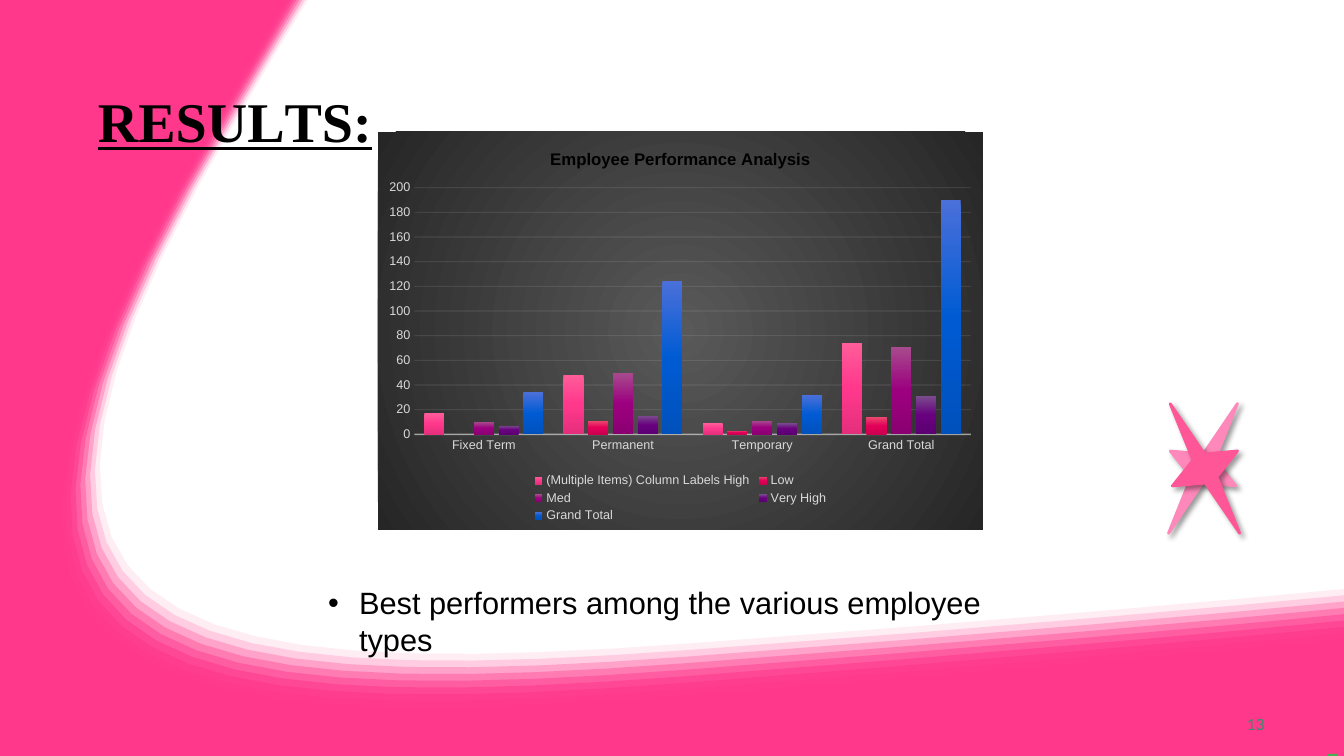
import lxml.etree
import pptx
import pptx.chart.data
import pptx.dml.color
import pptx.enum.chart
import pptx.enum.shapes
import pptx.enum.text
import pptx.oxml.ns
import pptx.util

RGBColor = pptx.dml.color.RGBColor
qn = pptx.oxml.ns.qn

WIDTH, HEIGHT = 1344, 756
SCALE = 12192000 / WIDTH

BLACK = RGBColor(0x00, 0x00, 0x00)
PINK = RGBColor(0xFF, 0x38, 0x8C)
LIGHT_PINK = RGBColor(0xFF, 0x88, 0xBA)
STAR_PINK = RGBColor(0xFF, 0x56, 0x98)
GREEN = RGBColor(0x42, 0xAF, 0x51)
TEAL = RGBColor(0x2D, 0x93, 0x6B)
AXIS_GREY = RGBColor(0xD9, 0xD9, 0xD9)
LINE_GREY = RGBColor(0xF2, 0xF2, 0xF2)
CHART_GREYS = [RGBColor(0x59, 0x59, 0x59), RGBColor(0x26, 0x26, 0x26)]

BAND_COUNT = 11
CURVE_STEPS = [5, 20, 4]
WAVE_EDGE = [(1344, 661), (1344, 661), (1084, 687), (660, 720), (107, 761),
             (-163, 718), (198, 116), (242, 41), (267, 0), (267, 0)]
OUTER_EDGE = [(1344, 589), (1342, 589), (1094, 614), (696, 643), (162, 683),
              (-74, 637), (242, 110), (283, 40), (307, 1), (308, 0)]
INNER_EDGE = [(1344, 652), (1309, 656), (1056, 680), (669, 710), (123, 751),
              (-143, 709), (213, 115), (250, 52), (273, 11), (279, 0)]

CATEGORIES = ["Fixed Term", "Permanent", "Temporary", "Grand Total"]
SERIES = [
    ("(Multiple Items) Column Labels High", [17, 48, 9, 74],
     [RGBColor(0xFF, 0x5C, 0x99), PINK, RGBColor(0xE5, 0x2F, 0x7C)]),
    ("Low", [None, 11, 3, 14],
     [RGBColor(0xEA, 0x4B, 0x6F), RGBColor(0xE4, 0x00, 0x59), RGBColor(0xCB, 0x00, 0x4F)]),
    ("Med", [10, 50, 11, 71],
     [RGBColor(0xA7, 0x4B, 0x8D), RGBColor(0x9C, 0x00, 0x7F), RGBColor(0x8B, 0x00, 0x71)]),
    ("Very High", [7, 15, 9, 31],
     [RGBColor(0x7A, 0x4B, 0x8D), RGBColor(0x68, 0x00, 0x7F), RGBColor(0x5C, 0x00, 0x71)]),
    ("Grand Total", [34, 124, 32, 190],
     [RGBColor(0x4B, 0x70, 0xDA), RGBColor(0x00, 0x5B, 0xD3), RGBColor(0x00, 0x51, 0xBC)]),
]


def px(length):
    return pptx.util.Emu(round(length * SCALE))


def add_xml(parent, tag, **attributes):
    return lxml.etree.SubElement(parent, qn(tag), {k: str(v) for k, v in attributes.items()})


def fade(element, percent):
    for color in element.iter(qn("a:srgbClr")):
        add_xml(color, "a:alpha", val=percent * 1000)


def add_gradient(properties, colors):
    gradient = add_xml(properties, "a:gradFill", rotWithShape=1)
    stops = add_xml(gradient, "a:gsLst")
    for index, color in enumerate(colors):
        stop = add_xml(stops, "a:gs", pos=100000 * index // (len(colors) - 1))
        add_xml(stop, "a:srgbClr", val=color)
    return gradient


def style_font(font, size, color, name="Arial", bold=False):
    font.size = pptx.util.Pt(size)
    font.color.rgb = color
    font.name = name
    font.bold = bold


def place(shape, box):
    shape.left, shape.top, shape.width, shape.height = map(px, box)
    shape.element.getparent().append(shape.element)


def trace(edge):
    points = [edge[0]]
    for segment, steps in enumerate(CURVE_STEPS):
        a, b, c, d = edge[3 * segment:3 * segment + 4]
        for step in range(1, steps + 1):
            t = step / steps
            u = 1 - t
            points.append(tuple(u**3 * a[i] + 3 * u * u * t * b[i] + 3 * u * t * t * c[i] + t**3 * d[i]
                                for i in (0, 1)))
    return points


def add_outline(slide, points, opacity):
    points = [(px(x), px(y)) for x, y in points]
    builder = slide.shapes.build_freeform(*points[0], scale=1.0)
    builder.add_line_segments(points[1:], close=True)
    shape = builder.convert_to_shape()
    shape.shadow.inherit = False
    shape.fill.solid()
    shape.fill.fore_color.rgb = PINK
    shape.line.fill.background()
    if opacity < 100:
        fade(shape.element, opacity)


def add_wave(slide, box):
    left, top, width, height = box
    corners = [(left, top), (left, top + height), (left + width, top + height)]
    for band in range(BAND_COUNT):
        t = band / (BAND_COUNT - 1)
        edge = [(a + (c - a) * t, b + (d - b) * t)
                for (a, b), (c, d) in zip(OUTER_EDGE, INNER_EDGE)]
        add_outline(slide, trace(edge) + corners, round(100 * (band + 1) / BAND_COUNT))
    add_outline(slide, trace(WAVE_EDGE) + corners, 100)
    chip = slide.shapes.add_shape(pptx.enum.shapes.MSO_SHAPE.RECTANGLE,
                                  px(left + width - 16), px(top + height - 2), px(10), px(2))
    chip.shadow.inherit = False
    chip.fill.solid()
    chip.fill.fore_color.rgb = GREEN
    chip.line.fill.background()


def add_stars(slide, box):
    left, top, width, height = box
    for offset, rotation, color in [(0, 28, LIGHT_PINK), (2, 331.8, STAR_PINK)]:
        star = slide.shapes.add_shape(pptx.enum.shapes.MSO_SHAPE.STAR_4_POINT,
                                      px(left + offset), px(top), px(width), px(height))
        star.adjustments[0] = 0.125
        star.rotation = rotation
        star.fill.solid()
        star.fill.fore_color.rgb = color
        star.line.color.rgb = color
        star.line.width = pptx.util.Pt(2)
        star.shadow.inherit = False
        effects = star.element.spPr.find(qn("a:effectLst"))
        shadow = add_xml(effects, "a:outerShdw", blurRad=pptx.util.Pt(4), dist=pptx.util.Pt(3),
                         dir=45 * 60000, algn="tl", rotWithShape=0)
        add_xml(shadow, "a:srgbClr", val=BLACK)
        fade(effects, 40)


def set_layout(parent, position, target, x, y, w, h):
    for layout in parent.findall(qn("c:layout")):
        parent.remove(layout)
    layout = lxml.etree.Element(qn("c:layout"))
    manual = add_xml(layout, "c:manualLayout")
    if target:
        add_xml(manual, "c:layoutTarget", val=target)
    add_xml(manual, "c:xMode", val="edge")
    add_xml(manual, "c:yMode", val="edge")
    for name, value in zip("xywh", (x, y, w, h)):
        add_xml(manual, "c:" + name, val=value)
    parent.insert(position, layout)


def add_performance_chart(slide, box):
    data = pptx.chart.data.CategoryChartData()
    data.categories = CATEGORIES
    for name, values, _ in SERIES:
        data.add_series(name, values)
    chart = slide.shapes.add_chart(pptx.enum.chart.XL_CHART_TYPE.COLUMN_CLUSTERED,
                                   *map(px, box), data).chart
    style_font(chart.font, 10, BLACK)
    background = lxml.etree.Element(qn("c:spPr"))
    gradient = add_gradient(background, CHART_GREYS)
    circle = add_xml(gradient, "a:path", path="circle")
    add_xml(circle, "a:fillToRect", l=0, t=0, r=0, b=0)
    add_xml(add_xml(background, "a:ln"), "a:noFill")
    chart.element.find(qn("c:txPr")).addprevious(background)

    run = chart.chart_title.text_frame.paragraphs[0].add_run()
    run.text = "Employee Performance Analysis"
    style_font(run.font, 12, BLACK, bold=True)

    plot = chart.plots[0]
    plot.gap_width, plot.overlap, plot.vary_by_categories = 100, -23, False
    for series, (_, _, colors) in zip(plot.series, SERIES):
        series.invert_if_negative = False
        gradient = add_gradient(series._element.get_or_add_spPr(), colors)
        add_xml(gradient, "a:lin", ang=90 * 60000, scaled=0)

    value_axis, category_axis = chart.value_axis, chart.category_axis
    value_axis.minimum_scale, value_axis.maximum_scale, value_axis.major_unit = 0, 200, 20
    value_axis.format.line.fill.background()
    for axis, line, width, opacity in [
            (category_axis, category_axis.format.line, 1, 54),
            (value_axis, value_axis.major_gridlines.format.line, 0.75, 10)]:
        line.color.rgb = LINE_GREY
        line.width = pptx.util.Pt(width)
        fade(axis._element, opacity)
        axis.major_tick_mark = pptx.enum.chart.XL_TICK_MARK.NONE
        style_font(axis.tick_labels.font, 9, AXIS_GREY)

    chart.has_legend = True
    chart.legend.position = pptx.enum.chart.XL_LEGEND_POSITION.BOTTOM
    chart.legend.include_in_layout = False
    style_font(chart.legend.font, 9, AXIS_GREY)
    set_layout(chart.element.find(".//" + qn("c:plotArea")), 0, "inner", 0.06, 0.14, 0.92, 0.62)
    set_layout(chart.element.find(".//" + qn("c:legend")), 1, None, 0.25, 0.85, 0.5, 0.14)


def prepare_text(frame, space_before):
    frame.word_wrap = True
    frame.auto_size = pptx.enum.text.MSO_AUTO_SIZE.NONE
    paragraph = frame.paragraphs[0]
    paragraph.alignment = pptx.enum.text.PP_ALIGN.LEFT
    paragraph.space_before = pptx.util.Pt(space_before)
    return paragraph


def trim_margins(frame):
    frame.margin_left = frame.margin_right = frame.margin_bottom = 0
    frame.margin_top = px(1)


def add_title(slide, box):
    title = slide.shapes.title
    place(title, box)
    trim_margins(title.text_frame)
    title.text_frame.vertical_anchor = pptx.enum.text.MSO_ANCHOR.MIDDLE
    paragraph = prepare_text(title.text_frame, 1.1)
    for text, spacing in [("R", 0), ("E", -40), ("S", 10), ("U", -30), ("L", -400), ("TS:", 0)]:
        run = paragraph.add_run()
        run.text = text
        style_font(run.font, 40, BLACK, "Times New Roman", True)
        run.font.underline = True
        run._r.get_or_add_rPr().set("spc", str(spacing))


def add_finding(slide, box):
    body = slide.placeholders[1]
    place(body, box)
    paragraph = prepare_text(body.text_frame, 0)
    properties = paragraph._p.get_or_add_pPr()
    properties.set("marL", str(px(31)))
    properties.set("indent", str(-px(31)))
    add_xml(properties, "a:buFont", typeface="Arial")
    add_xml(properties, "a:buChar", char="•")
    run = paragraph.add_run()
    run.text = "Best performers among the various employee types"
    style_font(run.font, 22, BLACK)


def add_page_number(slide, box):
    frame = slide.shapes.add_textbox(*map(px, box)).text_frame
    trim_margins(frame)
    paragraph = prepare_text(frame, 0.6)
    paragraph._p.get_or_add_pPr().set("marL", str(px(4)))
    run = paragraph.add_run()
    run.text = "13"
    style_font(run.font, 11, TEAL, "Lato")


def main():
    presentation = pptx.Presentation()
    presentation.slide_width, presentation.slide_height = px(WIDTH), px(HEIGHT)
    slide = presentation.slides.add_slide(presentation.slide_layouts[1])
    add_wave(slide, (0, 0, WIDTH, HEIGHT))
    add_title(slide, (98, 85, 364, 69))
    add_page_number(slide, (1243, 714, 25, 19))
    add_stars(slide, (1166, 395, 74, 147))
    add_performance_chart(slide, (378, 132, 605, 398))
    add_finding(slide, (318, 579, 712, 84))
    presentation.save("out.pptx")


if __name__ == "__main__":
    main()
